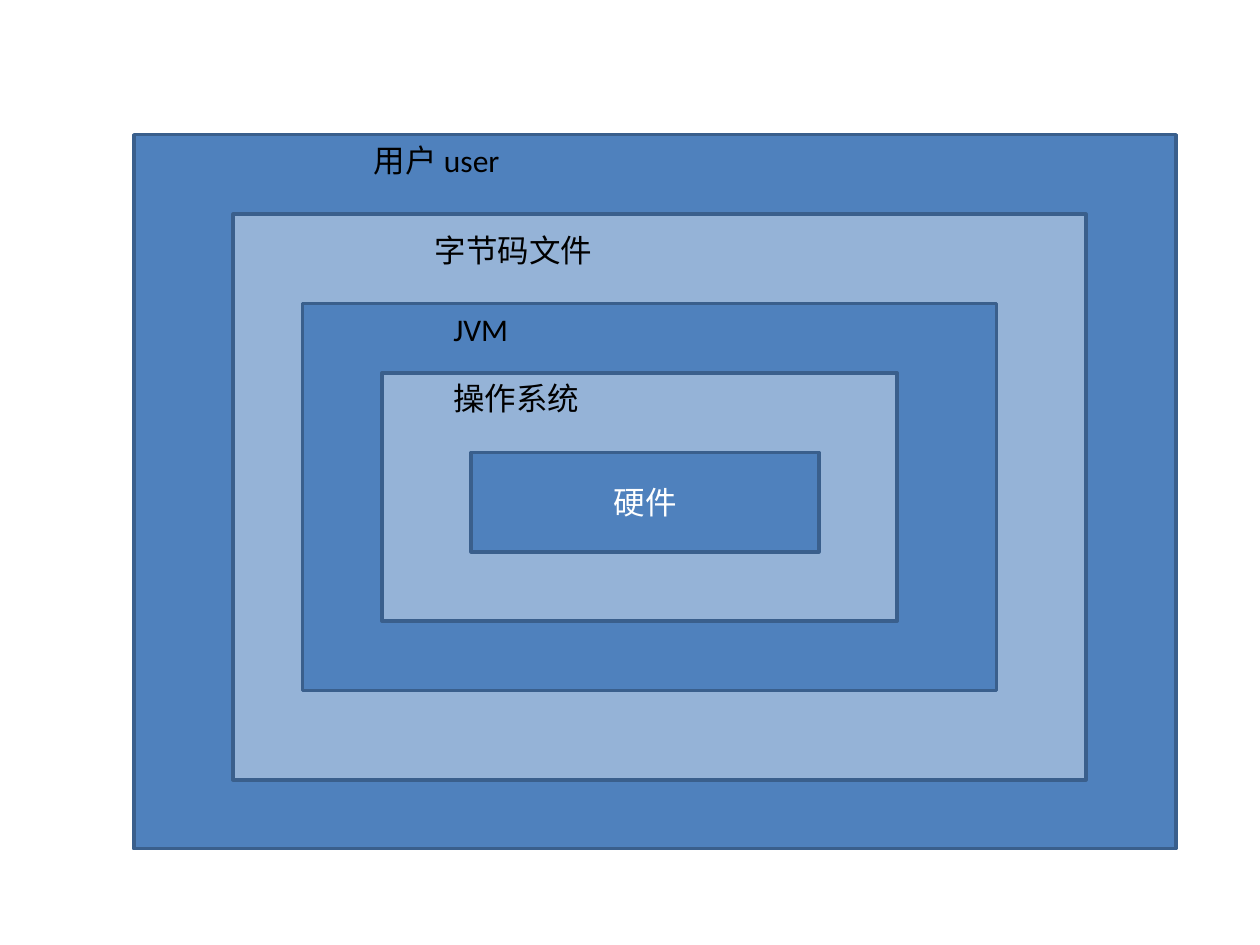
from pptx import Presentation
from pptx.dml.color import RGBColor
from pptx.enum.shapes import MSO_SHAPE
from pptx.enum.text import MSO_ANCHOR, MSO_AUTO_SIZE, PP_ALIGN
from pptx.util import Pt

RECTANGLE = MSO_SHAPE.RECTANGLE
MIDDLE = MSO_ANCHOR.MIDDLE
FIT_SHAPE = MSO_AUTO_SIZE.SHAPE_TO_FIT_TEXT
CENTER = PP_ALIGN.CENTER

DARK, LIGHT, BORDER = "4F81BD", "95B3D7", "3A5F8C"


def color(value):
    return RGBColor.from_string(value)


def write(frame, text, text_color):
    frame.word_wrap = True
    frame.text = text
    font = frame.paragraphs[0].runs[0].font
    font.name = "Calibri"
    font.size = Pt(18)
    font.color.rgb = color(text_color)


prs = Presentation()
prs.slide_width, prs.slide_height = Pt(720), Pt(540)
slide = prs.slides.add_slide(prs.slide_layouts[6])

layers = [
    (76.5, 77, 595.5, 408),
    (133.2, 122.4, 487.4, 323.3),
    (172.8, 173.5, 396.7, 221),
    (218.2, 213.1, 294.5, 141.8),
    (269.3, 258.5, 198.7, 56.9),
]
for depth, bounds in enumerate(layers):
    layer = slide.shapes.add_shape(RECTANGLE, *map(Pt, bounds))
    layer.shadow.inherit = False
    layer.fill.solid()
    layer.fill.fore_color.rgb = color(LIGHT if depth % 2 else DARK)
    layer.line.color.rgb = color(BORDER)
    layer.line.width = Pt(2)

hardware = layer.text_frame
write(hardware, "硬件", "FFFFFF")
hardware.vertical_anchor = MIDDLE
hardware.paragraphs[0].alignment = CENTER

labels = [
    ("操作系统", 252, 213.1, 215.3),
    ("JVM", 252, 173.5, 232.6),
    ("字节码文件", 241.2, 128.2, 260.6),
    ("用户 user", 206.6, 77, 170),
]
for text, left, top, width in labels:
    label = slide.shapes.add_textbox(Pt(left), Pt(top), Pt(width), Pt(29))
    write(label.text_frame, text, "000000")
    label.text_frame.auto_size = FIT_SHAPE

prs.save("out.pptx")
